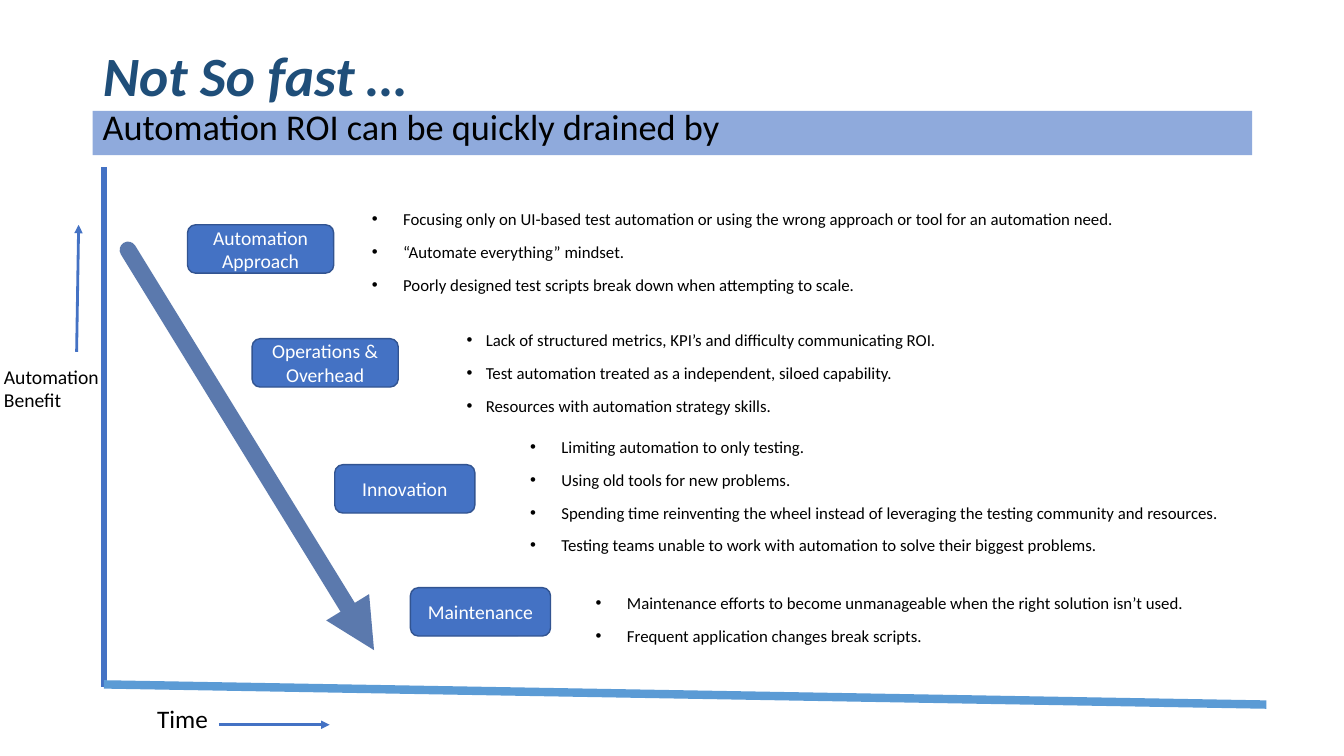
import pptx
import pptx.util
import pptx.dml.color
import pptx.enum.shapes
import pptx.enum.text
import pptx.oxml.ns
import lxml.etree
from dataclasses import dataclass

Inches, Pt = pptx.util.Inches, pptx.util.Pt
Shape = pptx.enum.shapes.MSO_SHAPE
Align, Anchor = pptx.enum.text.PP_ALIGN, pptx.enum.text.MSO_ANCHOR


@dataclass
class Theme:
    font: str = "Calibri"
    title: str = "1F4E79"
    band: str = "8FAADC"
    blue: str = "4472C4"
    outline: str = "325491"
    time_axis: str = "5B9BD5"
    decline: str = "2F5597"
    black: str = "000000"
    white: str = "FFFFFF"
    title_size: float = 39.6
    subtitle_size: float = 25.9
    time_size: float = 18
    label_size: float = 14
    bullet_size: float = 12


theme = Theme()
rgb = pptx.dml.color.RGBColor.from_string
qn = pptx.oxml.ns.qn


def write(shape, text, size, color=theme.black, bold=False, italic=False, align=Align.LEFT,
          anchor=Anchor.TOP, spacing=1.0, before=0, after=0, bullet_indent=0, inset=0.05):
    """Fill a shape with one paragraph per line of text."""
    frame = shape.text_frame
    frame.text = text
    frame.word_wrap = True
    frame.auto_size = pptx.enum.text.MSO_AUTO_SIZE.NONE
    frame.vertical_anchor = anchor
    frame.margin_top = frame.margin_bottom = Inches(inset)
    for paragraph in frame.paragraphs:
        paragraph.alignment = align
        paragraph.line_spacing = spacing
        paragraph.space_before, paragraph.space_after = Pt(before), Pt(after)
        font = paragraph.font
        for target in [font] + [run.font for run in paragraph.runs]:
            target.name, target.size = theme.font, Pt(size)
            target.bold, target.italic = bold, italic
            target.color.rgb = rgb(color)
        if bullet_indent:
            properties = paragraph._p.get_or_add_pPr()
            properties.set("marL", str(Inches(bullet_indent)))
            properties.set("indent", str(-Inches(bullet_indent)))
            marks = [lxml.etree.Element(qn("a:buFont"), typeface="Arial"),
                     lxml.etree.Element(qn("a:buChar"), char="•")]
            default_run = properties.find(qn("a:defRPr"))
            for mark in marks:
                default_run.addprevious(mark)


def draw_line(start, end, color, width, arrow=False, alpha=None, cap=None):
    """Draw a straight line, optionally with an arrowhead at its end."""
    connector = slide.shapes.add_connector(
        pptx.enum.shapes.MSO_CONNECTOR.STRAIGHT, *map(Inches, start + end))
    connector.line.color.rgb = rgb(color)
    connector.line.width = Pt(width)
    stroke = connector.line._get_or_add_ln()
    if alpha:
        tint = stroke.find(".//" + qn("a:srgbClr"))
        lxml.etree.SubElement(tint, qn("a:alpha"), val=str(alpha * 1000))
    if cap:
        stroke.set("cap", cap)
    if arrow:
        lxml.etree.SubElement(stroke, qn("a:tailEnd"), type="triangle")
    lxml.etree.SubElement(connector._element.spPr, qn("a:effectLst"))


presentation = pptx.Presentation()
presentation.slide_width, presentation.slide_height = Inches(13.33), Inches(7.5)
slide = presentation.slides.add_slide(presentation.slide_layouts[5])

# Title and subtitle band
title = slide.shapes.title
title.left, title.top, title.width, title.height = map(Inches, (0.92, 0.4, 11.5, 0.76))
write(title, "Not So fast …", theme.title_size, theme.title, bold=True, italic=True,
      anchor=Anchor.MIDDLE, spacing=0.9)

subtitle = slide.shapes.add_shape(Shape.RECTANGLE, *map(Inches, (0.92, 1.1, 11.5, 0.44)))
subtitle.shadow.inherit = False
subtitle.fill.solid()
subtitle.fill.fore_color.rgb = rgb(theme.band)
subtitle.line.fill.background()
write(subtitle, "Automation ROI can be quickly drained by", theme.subtitle_size,
      spacing=0.7, before=10)

# Benefit and time axes
draw_line((1.03, 1.66), (1.03, 6.82), theme.blue, 4)
draw_line((1.03, 6.79), (12.56, 6.99), theme.time_axis, 6)

# Declining benefit and axis directions
draw_line((1.27, 2.48), (3.71, 6.45), theme.decline, 12, arrow=True, alpha=78, cap="rnd")
draw_line((2.17, 7.19), (3.27, 7.19), theme.blue, 2, arrow=True)
draw_line((0.76, 3.49), (0.78, 2.23), theme.blue, 2, arrow=True)

# Drains on ROI: label, label place and width, reasons, reasons box, indent
drains = [
    ("Automation Approach", (1.86, 2.23), 1.45,
     ["Focusing only on UI-based test automation or using the wrong approach or tool "
      "for an automation need.",
      "“Automate everything” mindset.",
      "Poorly designed test scripts break down when attempting to scale."],
     (3.59, 2.01, 8.34, 0.96), 0.31),
    ("Operations & Overhead", (2.5, 3.36), 1.45,
     ["Lack of structured metrics, KPI’s and difficulty communicating ROI.",
      "Test automation treated as a independent, siloed capability.",
      "Resources with automation strategy skills."],
     (4.53, 3.21, 5.12, 0.96), 0.19),
    ("Innovation", (3.32, 4.61), 1.39,
     ["Limiting automation to only testing.",
      "Using old tools for new problems.",
      "Spending time reinventing the wheel instead of leveraging the testing community "
      "and resources.",
      "Testing teams unable to work with automation to solve their biggest problems."],
     (5.16, 4.27, 7.15, 1.29), 0.31),
    ("Maintenance", (4.07, 5.83), 1.39,
     ["Maintenance efforts to become unmanageable when the right solution isn’t used.",
      "Frequent application changes break scripts."],
     (5.81, 5.82, 6.22, 0.64), 0.31),
]
for name, place, width, reasons, reasons_box, indent in drains:
    drain = slide.shapes.add_shape(Shape.ROUNDED_RECTANGLE, *map(Inches, (*place, width, 0.48)))
    drain.shadow.inherit = False
    drain.fill.solid()
    drain.fill.fore_color.rgb = rgb(theme.blue)
    drain.line.color.rgb = rgb(theme.outline)
    drain.line.width = Pt(1)
    write(drain, name, theme.label_size, theme.white, align=Align.CENTER,
          anchor=Anchor.MIDDLE, inset=0)

    details = slide.shapes.add_textbox(*map(Inches, reasons_box))
    write(details, "\n".join(reasons), theme.bullet_size, spacing=1.07, after=8,
          bullet_indent=indent)

# Axis names
for name, box, size in [("Time", (1.46, 6.93, 0.72, 0.4), theme.time_size),
                        ("Automation\nBenefit", (-0.06, 3.57, 1.21, 0.57), theme.label_size)]:
    axis_name = slide.shapes.add_textbox(*map(Inches, box))
    write(axis_name, name, size)

presentation.save("out.pptx")
